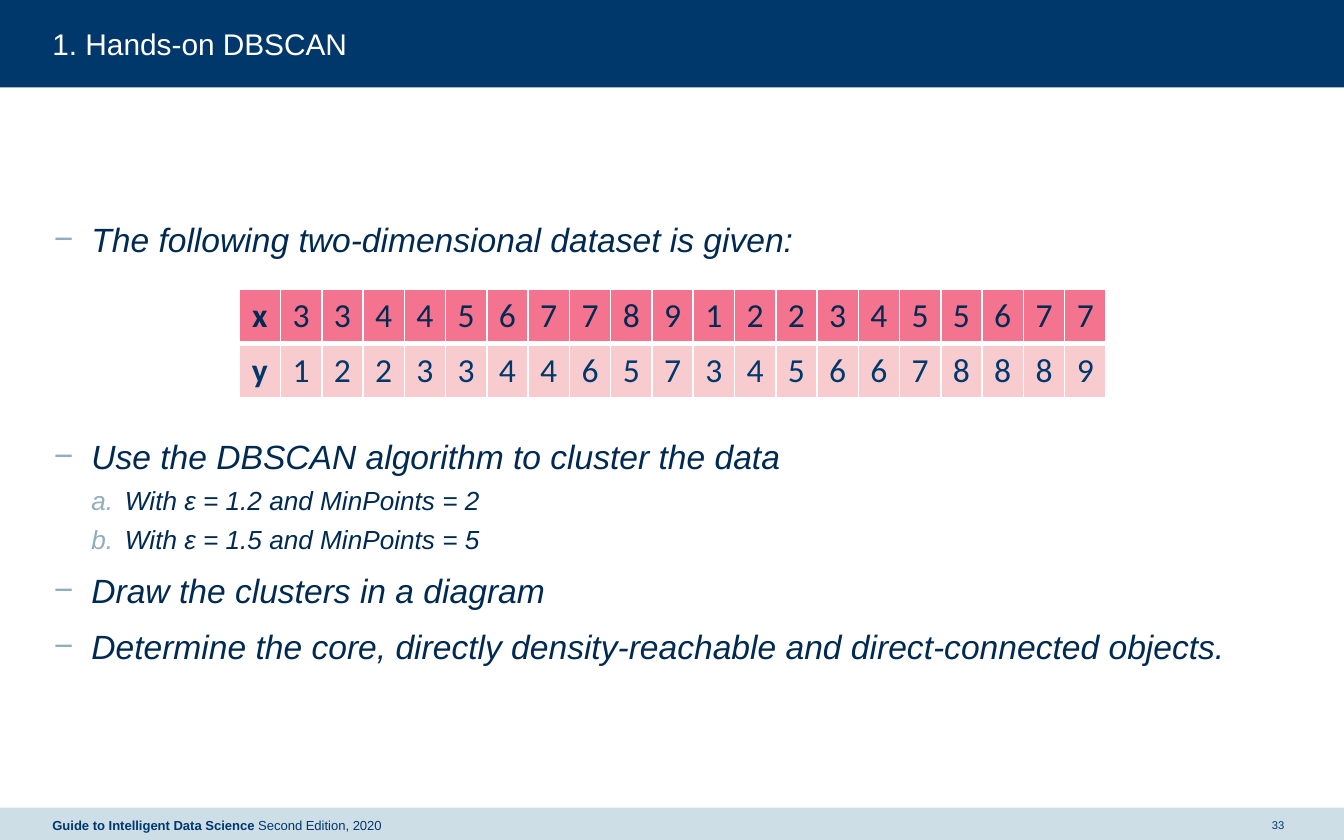
import dataclasses

import lxml.etree
import pptx
import pptx.dml.color
import pptx.enum.shapes
import pptx.enum.text
import pptx.oxml
import pptx.oxml.ns
import pptx.util

Inches = pptx.util.Inches
Pt = pptx.util.Pt
Align = pptx.enum.text.PP_ALIGN
Anchor = pptx.enum.text.MSO_ANCHOR


@dataclasses.dataclass(frozen=True)
class Theme:
    font: str = "Arial"
    table_font: str = "Calibri"
    white: str = "FFFFFF"
    navy: str = "00386C"
    dark: str = "002A51"
    bullet: str = "92AEBC"
    footer: str = "CDDEE7"
    header_row: str = "F47490"
    value_row: str = "F8CCCF"
    title_size: float = 16
    body_size: float = 18
    sub_size: float = 14
    footer_size: float = 7
    number_size: float = 6


def color(value):
    return pptx.dml.color.RGBColor.from_string(value)


def write(paragraph, text, *, font, size, fill, bold=False, italic=False, align=Align.LEFT):
    paragraph.alignment = align
    run = paragraph.add_run()
    run.text = text
    run.font.name = font
    run.font.size = Pt(size)
    run.font.bold = bold
    run.font.italic = italic
    run.font.color.rgb = color(fill)


class SlideBuilder:
    """Draws styled elements on the current slide."""

    def __init__(self, presentation, theme):
        self.theme = theme
        self.slide = presentation.slides.add_slide(presentation.slide_layouts[5])

    def place(self, shape, left, top, width, height):
        shape.left, shape.top = Inches(left), Inches(top)
        shape.width, shape.height = Inches(width), Inches(height)

    def frame(self, shape, anchor):
        frame = shape.text_frame
        frame.word_wrap = True
        frame.auto_size = pptx.enum.text.MSO_AUTO_SIZE.NONE
        frame.vertical_anchor = anchor
        frame.margin_left = frame.margin_right = frame.margin_top = frame.margin_bottom = 0
        return frame

    def bar(self, top, height, fill):
        shape = self.slide.shapes.add_shape(
            pptx.enum.shapes.MSO_SHAPE.RECTANGLE, 0, Inches(top), Inches(10), Inches(height))
        shape.shadow.inherit = False
        shape.fill.solid()
        shape.fill.fore_color.rgb = color(fill)
        shape.line.fill.background()

    def title(self, text, box):
        title = self.slide.shapes.title
        self.place(title, *box)
        title.element.getparent().append(title.element)
        frame = self.frame(title, Anchor.TOP)
        write(frame.paragraphs[0], text, font=self.theme.font,
              size=self.theme.title_size, fill=self.theme.white)

    def text_box(self, box, anchor=Anchor.MIDDLE):
        shape = self.slide.shapes.add_textbox(*(Inches(length) for length in box))
        return self.frame(shape, anchor)

    def footer_text(self, box, runs, size, align=Align.LEFT):
        paragraph = self.text_box(box).paragraphs[0]
        for text, bold in runs:
            write(paragraph, text, font=self.theme.font, size=size,
                  fill=self.theme.navy, bold=bold, align=align)

    def bullets(self, box, items):
        frame = self.text_box(box, Anchor.TOP)
        for index, (text, level, space) in enumerate(items):
            paragraph = frame.add_paragraph() if index else frame.paragraphs[0]
            paragraph.level = level
            paragraph.space_before = Pt(space)
            paragraph.line_spacing = 1.03
            self.bullet(paragraph, level)
            write(paragraph, text, font=self.theme.font, fill=self.theme.dark, italic=True,
                  size=self.theme.sub_size if level else self.theme.body_size)

    def bullet(self, paragraph, level):
        properties = paragraph._p.get_or_add_pPr()
        margin, indent = ((0.29, -0.28), (0.54, -0.25))[level]
        properties.set("marL", str(Inches(margin)))
        properties.set("indent", str(Inches(indent)))
        marker = ('<a:buAutoNum type="alphaLcPeriod"/>' if level
                  else '<a:buFont typeface="Arial"/><a:buChar char="−"/>')
        group = pptx.oxml.parse_xml(
            f'<a:pPr {pptx.oxml.ns.nsdecls("a")}><a:buClr><a:srgbClr val="{self.theme.bullet}"/>'
            f'</a:buClr>{marker}</a:pPr>')
        properties.extend(list(group))

    def table(self, box, rows):
        columns = len(rows[0][0])
        table = self.slide.shapes.add_table(
            len(rows), columns, *(Inches(length) for length in box)).table
        table.first_row = table.horz_banding = False
        for column in table.columns:
            column.width = Inches(box[2] / columns)
        for row_index, (values, fill, text_fill) in enumerate(rows):
            table.rows[row_index].height = Inches(box[3] / len(rows))
            for column_index, value in enumerate(values):
                cell = table.cell(row_index, column_index)
                cell.margin_left = cell.margin_right = Inches(0.05)
                self.borders(cell, top=3 if row_index else 1, bottom=1 if row_index else 3)
                cell.fill.solid()
                cell.fill.fore_color.rgb = color(fill)
                write(cell.text_frame.paragraphs[0], value, font=self.theme.table_font,
                      size=self.theme.body_size, fill=text_fill,
                      bold=column_index == 0, align=Align.CENTER)

    def borders(self, cell, top, bottom):
        properties = cell._tc.get_or_add_tcPr()
        for side, width in (("L", 1), ("R", 1), ("T", top), ("B", bottom)):
            line = lxml.etree.SubElement(
                properties, pptx.oxml.ns.qn(f"a:ln{side}"), w=str(Pt(width)))
            fill = lxml.etree.SubElement(line, pptx.oxml.ns.qn("a:solidFill"))
            lxml.etree.SubElement(fill, pptx.oxml.ns.qn("a:srgbClr"), val=self.theme.white)


def main():
    presentation = pptx.Presentation()
    presentation.slide_width, presentation.slide_height = Inches(10), Inches(6.25)
    theme = Theme()
    builder = SlideBuilder(presentation, theme)

    builder.bar(0, 0.65, theme.navy)
    builder.bar(6.01, 0.24, theme.footer)
    builder.title("1. Hands-on DBSCAN", (0.39, 0.19, 9.22, 0.27))
    builder.footer_text((9.41, 6.01, 0.2, 0.26), [("33", False)],
                        theme.number_size, Align.CENTER)
    builder.bullets((0.39, 1.62, 9.16, 3.64), [
        ("The following two-dimensional dataset is given:", 0, 7.5),
        ("Use the DBSCAN algorithm to cluster the data", 0, 94),
        ("With ε = 1.2 and MinPoints = 2", 1, 3.8),
        ("With ε = 1.5 and MinPoints = 5", 1, 3.8),
        ("Draw the clusters in a diagram", 0, 7.5),
        ("Determine the core, directly density-reachable and direct-connected objects.", 0, 7.5),
    ])
    builder.footer_text((0.39, 6.01, 4.39, 0.26), [
        ("Guide to Intelligent Data Science ", True), ("Second Edition, 2020", False),
    ], theme.footer_size)
    builder.table((1.78, 2.15, 6.45, 0.81), [
        ("x33445677891223455677", theme.header_row, theme.dark),
        ("y12233446573456678889", theme.value_row, theme.navy),
    ])
    presentation.save("out.pptx")


if __name__ == "__main__":
    main()
